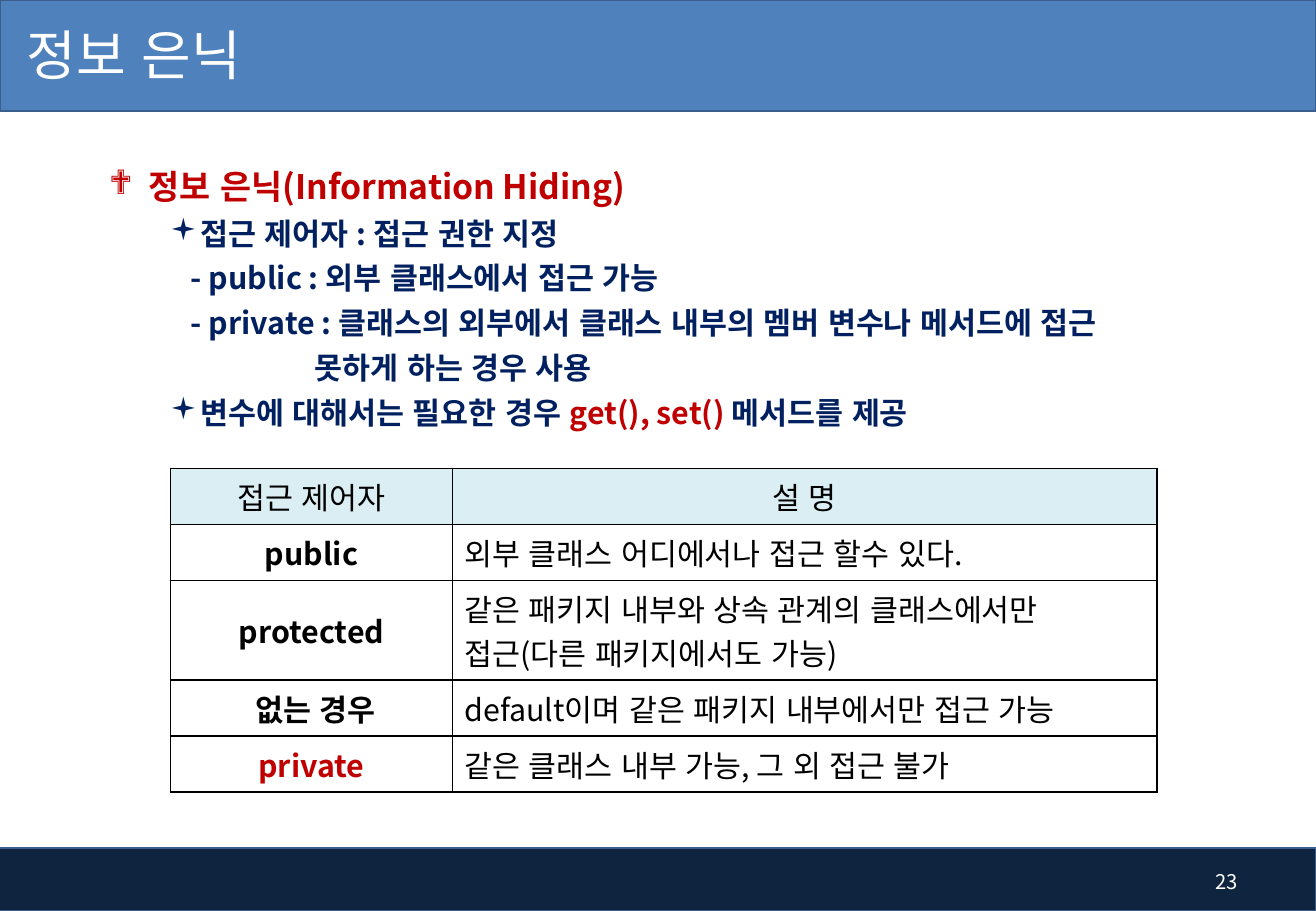
from dataclasses import dataclass

from lxml.etree import SubElement
from pptx import Presentation
from pptx.dml.color import RGBColor
from pptx.enum.lang import MSO_LANGUAGE_ID
from pptx.enum.shapes import MSO_SHAPE
from pptx.enum.text import MSO_ANCHOR, PP_ALIGN
from pptx.oxml.ns import qn
from pptx.util import Pt


@dataclass(frozen=True)
class Theme:
    font: str = "Noto Sans CJK KR"
    bullet_font: str = "Wingdings"
    white: str = "FFFFFF"
    black: str = "000000"
    band: str = "4F81BD"
    footer: str = "0F243E"
    outline: str = "3A5F8C"
    header: str = "DBEEF4"
    navy: str = "002060"
    red: str = "C00000"
    title_size: int = 32
    heading_size: int = 20
    body_size: int = 18
    number_size: int = 12


class Deck:
    def __init__(self, theme, width, height):
        self.theme = theme
        self.prs = Presentation()
        self.prs.slide_width, self.prs.slide_height = Pt(width), Pt(height)
        self.s = self.prs.slides.add_slide(self.prs.slide_layouts[6])

    def run(self, p, text, size, color, bold=False):
        r = p.add_run()
        r.text = text
        r.font.name = self.theme.font
        r.font.size = Pt(size)
        r.font.bold = bold
        r.font.language_id = MSO_LANGUAGE_ID.KOREAN
        r.font.color.rgb = RGBColor.from_string(color)
        SubElement(r._r.get_or_add_rPr(), qn("a:ea"), typeface=self.theme.font)

    def band(self, x, y, w, h, fill):
        sp = self.s.shapes.add_shape(MSO_SHAPE.RECTANGLE, Pt(x), Pt(y), Pt(w), Pt(h))
        sp.shadow.inherit = False
        sp.fill.solid()
        sp.fill.fore_color.rgb = RGBColor.from_string(fill)
        sp.line.color.rgb = RGBColor.from_string(self.theme.outline)
        sp.line.width = Pt(1)

    def box(self, x, y, w, h, anchor=MSO_ANCHOR.MIDDLE):
        tf = self.s.shapes.add_textbox(Pt(x), Pt(y), Pt(w), Pt(h)).text_frame
        tf.word_wrap = True
        tf.vertical_anchor = anchor
        return tf

    def label(self, x, y, w, h, text, size, align=PP_ALIGN.LEFT, inset=7.2):
        tf = self.box(x, y, w, h)
        tf.margin_left = Pt(inset)
        p = tf.paragraphs[0]
        p.alignment = align
        self.run(p, text, size, self.theme.white)

    def outline(self, x, y, w, h, items):
        """Each item: left margin, hanging indent, bullet, size, runs."""
        tf = self.box(x, y, w, h, MSO_ANCHOR.TOP)
        for i, (margin, hang, bullet, size, runs) in enumerate(items):
            p = tf.add_paragraph() if i else tf.paragraphs[0]
            pPr = p._p.get_or_add_pPr()
            pPr.set("marL", str(Pt(margin)))
            pPr.set("indent", str(-Pt(hang)))
            if bullet:
                SubElement(pPr, qn("a:buFont"), typeface=self.theme.bullet_font)
                SubElement(pPr, qn("a:buChar"), char=bullet)
            else:
                SubElement(pPr, qn("a:buNone"))
            if i:
                p.space_before = Pt(5)
            else:
                p.line_spacing = 1.5
            for text, color in runs:
                self.run(p, text, size, color, bold=True)

    def cell(self, cell, lines, fill, color, bold, align):
        tcPr = cell._tc.get_or_add_tcPr()
        for side in ("lnL", "lnR", "lnT", "lnB"):
            ln = SubElement(tcPr, qn(f"a:{side}"), w=str(Pt(1)))
            SubElement(SubElement(ln, qn("a:solidFill")), qn("a:srgbClr"),
                       val=self.theme.black)
        cell.fill.solid()
        cell.fill.fore_color.rgb = RGBColor.from_string(fill)
        cell.vertical_anchor = MSO_ANCHOR.MIDDLE
        tf = cell.text_frame
        for i, line in enumerate(lines):
            p = tf.add_paragraph() if i else tf.paragraphs[0]
            p.alignment = align
            self.run(p, line, self.theme.body_size, color, bold)

    def table(self, x, y, widths, line_height, padding, header, rows):
        t = self.theme
        heights = [line_height * len(lines) + padding
                   for lines in [header[1:]] + [row[1] for row in rows]]
        tbl = self.s.shapes.add_table(len(heights), len(widths), Pt(x), Pt(y),
                                      Pt(sum(widths)), Pt(sum(heights))).table
        tbl.first_row = tbl.horz_banding = False
        for col, width in zip(tbl.columns, widths):
            col.width = Pt(width)
        for row, height in zip(tbl.rows, heights):
            row.height = Pt(height)
        for c, text in enumerate(header):
            self.cell(tbl.cell(0, c), [text], t.header, t.black, False, PP_ALIGN.CENTER)
        for i, (name, lines, color) in enumerate(rows, 1):
            self.cell(tbl.cell(i, 0), [name], t.white, color, True, PP_ALIGN.CENTER)
            self.cell(tbl.cell(i, 1), lines, t.white, t.black, False, PP_ALIGN.LEFT)


def main():
    t = Theme()
    deck = Deck(t, 780, 540)

    # Title band and footer
    deck.band(-3, 502.6, 783, 37.4, t.footer)
    deck.band(0, 0, 780, 66, t.band)
    deck.label(0, -1.7, 488, 67.7, "정보 은닉", t.title_size, inset=16)
    deck.label(697, 508.3, 44, 28.8, "23", t.number_size, PP_ALIGN.RIGHT)

    # Outline
    bullet = (54, 18, "▪", t.body_size)
    dash = (48.4, 0, None, t.body_size)
    continued = (122, 0, None, t.body_size)
    deck.outline(57.6, 82.8, 678, 184.3, [
        (23.4, 23.4, "❖", t.heading_size, [("정보 은닉(Information Hiding)", t.red)]),
        (*bullet, [("접근 제어자 : 접근 권한 지정", t.navy)]),
        (*dash, [("- public : 외부 클래스에서 접근 가능", t.navy)]),
        (*dash, [("- private : 클래스의 외부에서 클래스 내부의 멤버 변수나 메서드에 접근", t.navy)]),
        (*continued, [("못하게 하는 경우 사용", t.navy)]),
        (*bullet, [("변수에 대해서는 필요한 경우 ", t.navy),
                   ("get(), set() ", t.red), ("메서드를 제공", t.navy)]),
    ])

    # Access modifier table
    deck.table(101.1, 277.6, (167, 417.6), 26, 7.2, ("접근 제어자", "설 명"), [
        ("public", ["외부 클래스 어디에서나 접근 할수 있다."], t.black),
        ("protected", ["같은 패키지 내부와 상속 관계의 클래스에서만",
                       "접근(다른 패키지에서도 가능)"], t.black),
        (" 없는 경우", ["default이며 같은 패키지 내부에서만 접근 가능"], t.black),
        ("private", ["같은 클래스 내부 가능, 그 외 접근 불가"], t.red),
    ])

    deck.prs.save("out.pptx")


if __name__ == "__main__":
    main()
